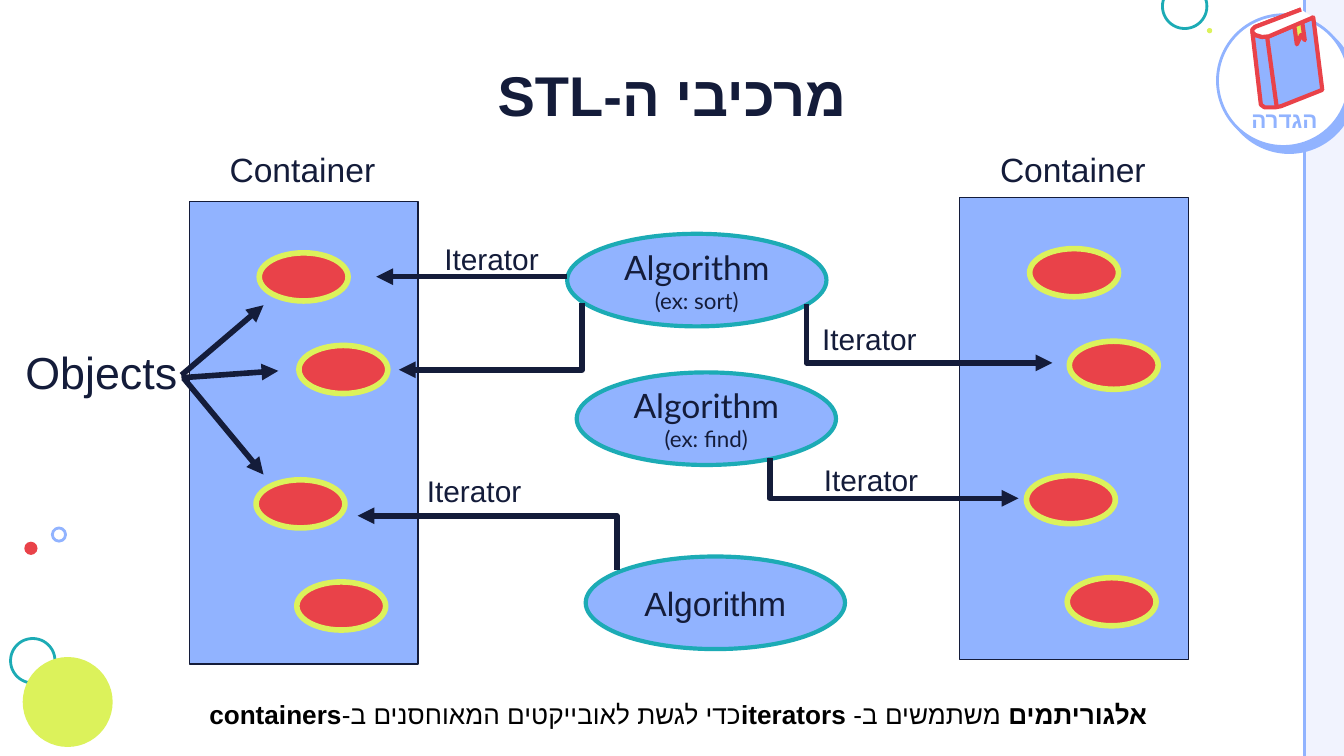
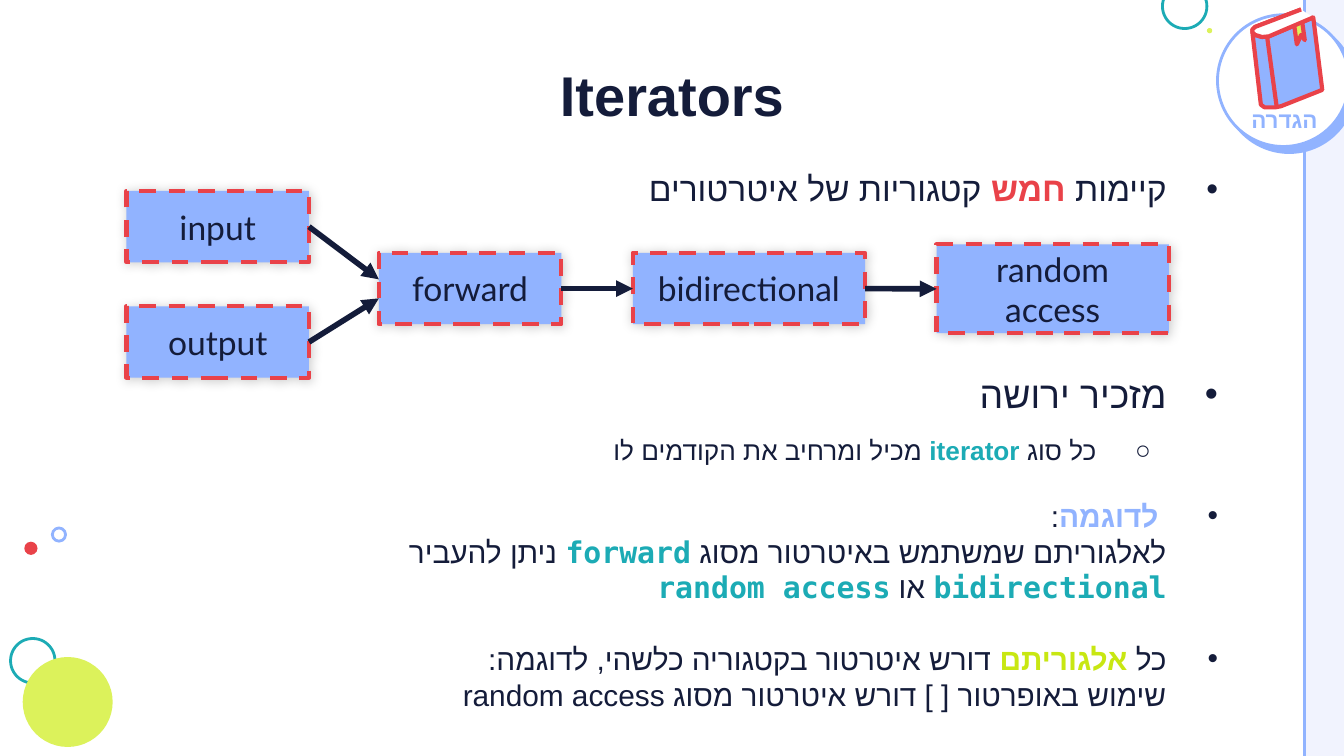
"""Builds two slides on the parts of the STL and its iterator categories."""
from copy import deepcopy

from lxml import etree
from pptx import Presentation
from pptx.dml.color import RGBColor
from pptx.enum.dml import MSO_LINE
from pptx.enum.shapes import MSO_CONNECTOR, MSO_SHAPE
from pptx.enum.text import MSO_ANCHOR, MSO_AUTO_SIZE, PP_ALIGN
from pptx.oxml.ns import qn
from pptx.util import Cm, Pt

NAVY = RGBColor(0x14, 0x1C, 0x3A)
BLUE = RGBColor(0x91, 0xB3, 0xFF)
PALE = RGBColor(0xF1, 0xF3, 0xFE)
TEAL = RGBColor(0x1C, 0xAB, 0xB5)
LIME = RGBColor(0xDC, 0xF2, 0x5B)
DARK_LIME = RGBColor(0xC8, 0xE7, 0x12)
RED = RGBColor(0xE9, 0x42, 0x49)
WHITE = RGBColor(0xFF, 0xFF, 0xFF)
BLACK = RGBColor(0x00, 0x00, 0x00)

SANS, ROUND, MONO = "Arial", "Lato", "DejaVu Sans Mono"
CENTER, RIGHT = PP_ALIGN.CENTER, PP_ALIGN.RIGHT
TOP, MIDDLE, BOTTOM = MSO_ANCHOR.TOP, MSO_ANCHOR.MIDDLE, MSO_ANCHOR.BOTTOM
RECT, OVAL = MSO_SHAPE.RECTANGLE, MSO_SHAPE.OVAL
STRAIGHT, DASH, NO_FIT = MSO_CONNECTOR.STRAIGHT, MSO_LINE.DASH, MSO_AUTO_SIZE.NONE
SIDE_LEFT, SIDE_RIGHT = 1, 3


def write_text(paragraph, text, size=18, font=SANS, color=NAVY, bold=False):
    """Add text to a paragraph; each newline becomes a line break."""
    for index, line in enumerate(text.split("\n")):
        if index:
            paragraph.add_line_break()
        run = paragraph.add_run()
        run.text = line
        run.font.size, run.font.name, run.font.bold = Pt(size), font, bold
        run.font.color.rgb = color
        properties = run.font._element
        etree.SubElement(properties, qn("a:cs"), typeface=font)
        if index:
            run._r.getprevious().insert(0, deepcopy(properties))


def set_rtl(paragraph, align):
    """Make a paragraph run from right to left."""
    paragraph.alignment = align
    paragraph._p.get_or_add_pPr().set("rtl", "1")


def add_bullet(paragraph, char, indent, hanging):
    """Give a paragraph a hanging bullet, in centimetres."""
    properties = paragraph._p.get_or_add_pPr()
    properties.set("marL", str(int(Cm(indent))))
    properties.set("marR", "0")
    properties.set("indent", str(-int(Cm(hanging))))
    bullet_color = etree.SubElement(properties, qn("a:buClr"))
    etree.SubElement(bullet_color, qn("a:srgbClr"), val=str(NAVY))
    etree.SubElement(properties, qn("a:buFont"), typeface=SANS)
    etree.SubElement(properties, qn("a:buChar"), char=char)


def add_arrowhead(shape):
    """Put a triangle at the far end of a line."""
    etree.SubElement(shape.element.spPr.find(qn("a:ln")), qn("a:tailEnd"), type="triangle")


def add_shadow(shape, color, alpha, blur, distance, angle):
    """Give a shape an outer shadow, with lengths in points."""
    effects = shape.element.spPr.find(qn("a:effectLst"))
    outer = etree.SubElement(effects, qn("a:outerShdw"), blurRad=str(int(Pt(blur))),
                             dist=str(int(Pt(distance))), dir=str(angle * 60000),
                             algn="bl", rotWithShape="0")
    shade = etree.SubElement(outer, qn("a:srgbClr"), val=str(color))
    etree.SubElement(shade, qn("a:alpha"), val=str(alpha * 1000))


class Deck:
    """Holds the presentation style and the current slide."""

    def __init__(self):
        """Set the slide size."""
        self.prs = Presentation()
        self.prs.slide_width, self.prs.slide_height = Cm(25.4), Cm(14.29)
        self.slide = None

    def new_slide(self, layout_index, title):
        """Start a slide with its title and badge."""
        self.slide = self.prs.slides.add_slide(self.prs.slide_layouts[layout_index])
        if len(self.prs.slides) == 1:
            self.decorate_master()
        frame = self.place(self.slide.shapes.title, 1.5, 1.14, 22.4, 1.83)
        set_rtl(frame.paragraphs[0], CENTER)
        write_text(frame.paragraphs[0], title, size=30, bold=True)
        self.badge()

    def place(self, placeholder, left, top, width, height):
        """Move a placeholder and clear its margins."""
        placeholder.left, placeholder.top = Cm(left), Cm(top)
        placeholder.width, placeholder.height = Cm(width), Cm(height)
        frame = placeholder.text_frame
        self.set_frame(frame, TOP, True, 0)
        return frame

    def set_frame(self, frame, anchor, wrap, margin=None):
        """Set the anchor, wrapping and margins of a text frame."""
        frame.auto_size, frame.word_wrap, frame.vertical_anchor = NO_FIT, wrap, anchor
        if margin is not None:
            frame.margin_left = frame.margin_right = Cm(margin)
            frame.margin_top = frame.margin_bottom = Cm(margin)

    def paint(self, shape, fill=None, line=None, weight=1.5):
        """Set the fill and outline of a shape."""
        shape.shadow.inherit = False
        if fill is None:
            shape.fill.background()
        else:
            shape.fill.solid()
            shape.fill.fore_color.rgb = fill
        if line is None:
            shape.line.fill.background()
        else:
            shape.line.color.rgb = line
            shape.line.width = Pt(weight)
        return shape

    def shape(self, kind, left, top, width, height, **style):
        """Draw a preset shape."""
        shape = self.slide.shapes.add_shape(kind, Cm(left), Cm(top), Cm(width), Cm(height))
        return self.paint(shape, **style)

    def outline(self, points, **style):
        """Draw an open freeform through points."""
        start, *rest = [(Cm(x), Cm(y)) for x, y in points]
        builder = self.slide.shapes.build_freeform(*start, scale=1.0)
        builder.add_line_segments(rest, close=False)
        return self.paint(builder.convert_to_shape(), **style)

    def line(self, start, end, color=NAVY, weight=3):
        """Draw a straight line."""
        ends = [Cm(value) for value in (*start, *end)]
        connector = self.slide.shapes.add_connector(STRAIGHT, *ends)
        connector.line.color.rgb, connector.line.width = color, Pt(weight)
        etree.SubElement(connector.element.spPr, qn("a:effectLst"))
        return connector

    def arrow(self, *points):
        """Draw an arrow, bent when it has more than two points."""
        if len(points) == 2:
            arrow = self.line(*points)
        else:
            arrow = self.outline(points, line=NAVY, weight=3)
        add_arrowhead(arrow)
        return arrow

    def text(self, left, top, width, height, wrap=False, anchor=TOP, margin=None):
        """Add a text box and return its first paragraph."""
        box = self.slide.shapes.add_textbox(Cm(left), Cm(top), Cm(width), Cm(height))
        self.set_frame(box.text_frame, anchor, wrap, margin)
        return box.text_frame.paragraphs[0]

    def label(self, text, left, top, width, height, size):
        """Add a one-line label."""
        write_text(self.text(left, top, width, height), text, size=size)

    def caption(self, shape, lines, font):
        """Write centred lines of given sizes inside a shape."""
        frame = shape.text_frame
        self.set_frame(frame, MIDDLE, False)
        for index, (text, size) in enumerate(lines):
            paragraph = frame.add_paragraph() if index else frame.paragraphs[0]
            paragraph.alignment = CENTER
            write_text(paragraph, text, size=size, font=font)

    def decorate_master(self):
        """Draw the side band and bubbles and move them to the slide master."""
        decorations = [self.shape(RECT, 24.66, 0, 0.74, 14.29, fill=PALE),
                       self.line((24.66, -0.2), (24.66, 14.4), BLUE, 1.5)]
        for left, top, diameter, fill, line in (
                (21.97, -0.3, 0.84, None, TEAL), (0.2, 12.07, 0.84, None, TEAL),
                (0.43, 12.42, 1.7, LIME, None), (0.46, 10.24, 0.25, RED, None),
                (0.99, 9.98, 0.25, None, BLUE), (22.81, 0.53, 0.1, LIME, None)):
            decorations.append(self.shape(OVAL, left, top, diameter, diameter,
                                          fill=fill, line=line))
        for number, decoration in enumerate(decorations, 100):
            decoration.element.xpath(".//p:cNvPr")[0].set("id", str(number))
            self.prs.slide_master.shapes.element.append(decoration.element)

    def badge(self):
        """Draw the definition badge with its book."""
        ring = self.shape(OVAL, 23.01, 0.28, 2.49, 2.49, fill=WHITE, line=BLUE)
        add_shadow(ring, BLUE, 100, 0, 4.5, 46)
        tag = self.text(23.27, 1.78, 2.01, 0.74, wrap=True, anchor=BOTTOM, margin=0)
        set_rtl(tag, CENTER)
        tag.line_spacing = 0.8
        write_text(tag, "הגדרה", size=12, color=BLUE, bold=True)
        page_top = [(24.59, 0.18), (23.72, 0.51), (23.67, 0.56), (23.67, 0.61),
                    (23.72, 0.66), (23.85, 0.7), (23.98, 0.69), (24.82, 0.33)]
        cover = page_top + [(24.99, 1.7), (24.21, 2.01), (24.1, 2.03), (23.9, 2.03),
                            (23.83, 1.98), (23.67, 0.61)]
        spine = [(23.95, 0.71), (24.13, 2.03)]
        bookmark = [(24.61, 0.41), (24.66, 0.76), (24.59, 0.66), (24.51, 0.84), (24.46, 0.48)]
        top_edge = [(24.51, 0.2), (24.77, 0.36)]
        for points, fill in ((cover, BLUE), (spine, None), (bookmark, LIME),
                             (top_edge, None), (page_top, WHITE)):
            self.outline(points, fill=fill, line=RED, weight=2.25)

    def container(self, left, top):
        """Draw a container with its four objects."""
        self.label("Container", left + 0.51, 2.69, 3.3, 1.02, 18)
        self.shape(RECT, left, top, 4.32, 8.74, fill=BLUE, line=NAVY, weight=0.75)
        for dx, dy in ((1.32, 0.97), (2.07, 2.72), (1.26, 5.26), (2.03, 7.19)):
            self.shape(OVAL, left + dx, top + dy, 1.68, 0.91, fill=RED, line=LIME, weight=3)

    def algorithm(self, left, top, lines, font):
        """Draw an algorithm bubble."""
        bubble = self.shape(OVAL, left, top, 4.9, 1.75, fill=BLUE, line=TEAL, weight=2.25)
        self.caption(bubble, lines, font)

    def category(self, text, left, top, width, height=1.35):
        """Draw a dashed box for an iterator category."""
        box = self.shape(RECT, left, top, width, height, fill=BLUE, line=RED, weight=2.25)
        box.line.dash_style = DASH
        add_shadow(box, BLACK, 20, 6, 1, 45)
        self.caption(box, [(line, 18) for line in text.split("\n")], ROUND)
        return box

    def link(self, source, target, end=None):
        """Join two categories, or stop at a given end point."""
        edge = ((source.left + source.width) / Cm(1), (source.top + source.height / 2) / Cm(1))
        tip = end or (target.left / Cm(1), (target.top + target.height / 2) / Cm(1))
        arrow = self.arrow(edge, tip)
        arrow.begin_connect(source, SIDE_RIGHT)
        if end is None:
            arrow.end_connect(target, SIDE_LEFT)

    def bullets(self, items):
        """Fill the body placeholder with right-to-left bullets."""
        frame = self.place(self.slide.placeholders[1], 3.51, 3.18, 19.51, 10.24)
        for index, (level, size, space, runs) in enumerate(items):
            paragraph = frame.add_paragraph() if index else frame.paragraphs[0]
            paragraph.level = level
            set_rtl(paragraph, RIGHT)
            add_bullet(paragraph, *(("○", 2.16, 0.89) if level else ("•", 0.97, 0.97)))
            paragraph.space_before = Pt(space)
            for text, style in runs:
                write_text(paragraph, text, size=size, **style)


def components_slide(deck):
    """Show containers, iterators and algorithms."""
    deck.new_slide(5, "מרכיבי ה-STL")
    deck.container(18.14, 3.73)
    deck.container(3.58, 3.81)
    deck.algorithm(10.9, 7.04, [("Algorithm", 18), ("(ex: find)", 12)], ROUND)
    deck.algorithm(11.07, 10.52, [("Algorithm", 18)], SANS)
    deck.algorithm(10.72, 4.42, [("Algorithm", 18), ("(ex: sort)", 12)], ROUND)
    deck.label("Objects", 0.23, 6.4, 3.4, 1.27, 24)
    for route in (((3.43, 7.14), (5.26, 7.01)),
                  ((3.48, 7.16), (4.98, 8.97)),
                  ((3.43, 7.09), (4.98, 5.77)),
                  ((15.24, 5.74), (15.24, 6.86), (19.89, 6.86)),
                  ((11.66, 10.77), (11.66, 9.75), (6.76, 9.75)),
                  ((10.72, 5.23), (7.11, 5.23)),
                  ((11, 5.72), (11, 6.99), (7.54, 6.99)),
                  ((14.55, 8.66), (14.55, 9.42), (19.25, 9.42))):
        deck.arrow(*route)
    for left, top in ((8.15, 4.42), (15.32, 8.61), (7.82, 8.81), (15.29, 5.94)):
        deck.label("Iterator", left, top, 2.34, 0.94, 16)
    summary = deck.text(3.51, 13.08, 18.42, 0.86, wrap=True)
    set_rtl(summary, RIGHT)
    for text, bold in (("אלגוריתמים", True), (" משתמשים ב- ", False), ("iterators", True),
                       ("כדי לגשת לאובייקטים המאוחסנים ב-", False), ("containers", True)):
        write_text(summary, text, size=14, color=BLACK, bold=bold)


def iterators_slide(deck):
    """Show the five iterator categories."""
    deck.new_slide(1, "Iterators")
    plain = {}
    code = {"font": MONO, "color": TEAL, "bold": True}
    deck.bullets([
        (0, 18, 0, [("קיימות ", plain), ("חמש", {"color": RED, "bold": True}),
                    (" קטגוריות של איטרטורים", plain)]),
        (0, 20, 87, [("מזכיר ירושה", plain)]),
        (1, 14, 10, [(" כל סוג ", plain), ("iterator", {"color": TEAL, "bold": True}),
                     (" מכיל ומרחיב את הקודמים לו", plain)]),
        (0, 16, 17, [(" ", plain), ("לדוגמה", {"color": BLUE, "bold": True}),
                     (":\nלאלגוריתם שמשתמש באיטרטור מסוג ", plain), ("forward", code),
                     (" ניתן להעביר\n", plain), ("bidirectional", code),
                     (" או ", plain), ("random access", code)]),
        (0, 16, 19, [("כל ", plain), ("אלגוריתם", {"color": DARK_LIME, "bold": True}),
                     (" דורש איטרטור בקטגוריה כלשהי, לדוגמה:\n"
                      "שימוש באופרטור [ ] דורש איטרטור מסוג random access", plain)]),
    ])
    output_box = deck.category("output", 2.39, 5.79, 3.45)
    input_box = deck.category("input", 2.39, 3.61, 3.45)
    forward = deck.category("forward", 7.16, 4.78, 3.45)
    bidirectional = deck.category("bidirectional", 11.96, 4.78, 4.39)
    random_access = deck.category("random\naccess", 17.7, 4.62, 4.39, 1.68)
    deck.link(input_box, forward, end=(7.16, 5.28))
    deck.link(output_box, forward, end=(7.16, 5.64))
    deck.link(forward, bidirectional)
    deck.link(bidirectional, random_access)


def main():
    """Build and save the presentation."""
    deck = Deck()
    components_slide(deck)
    iterators_slide(deck)
    deck.prs.save("out.pptx")


if __name__ == "__main__":
    main()
